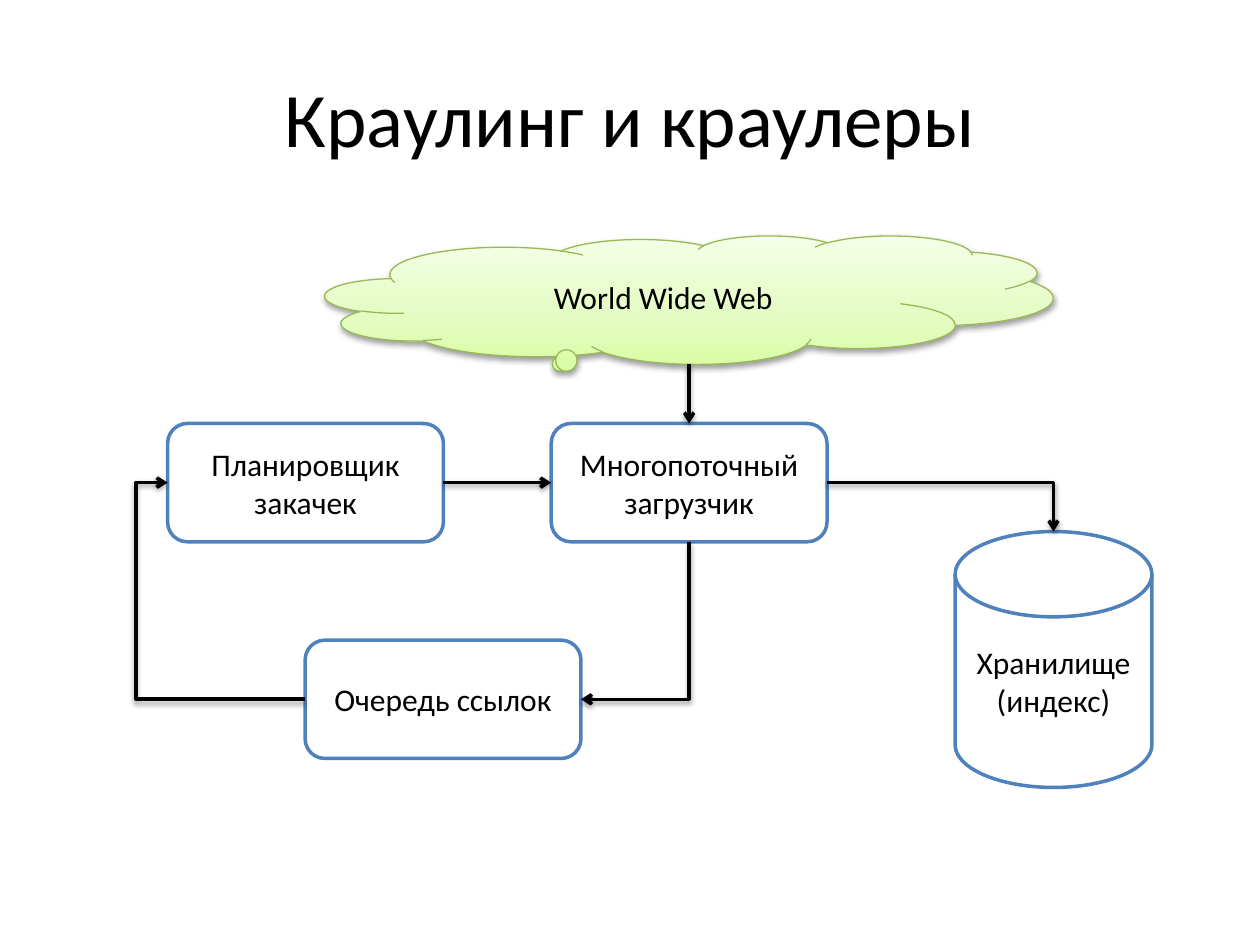
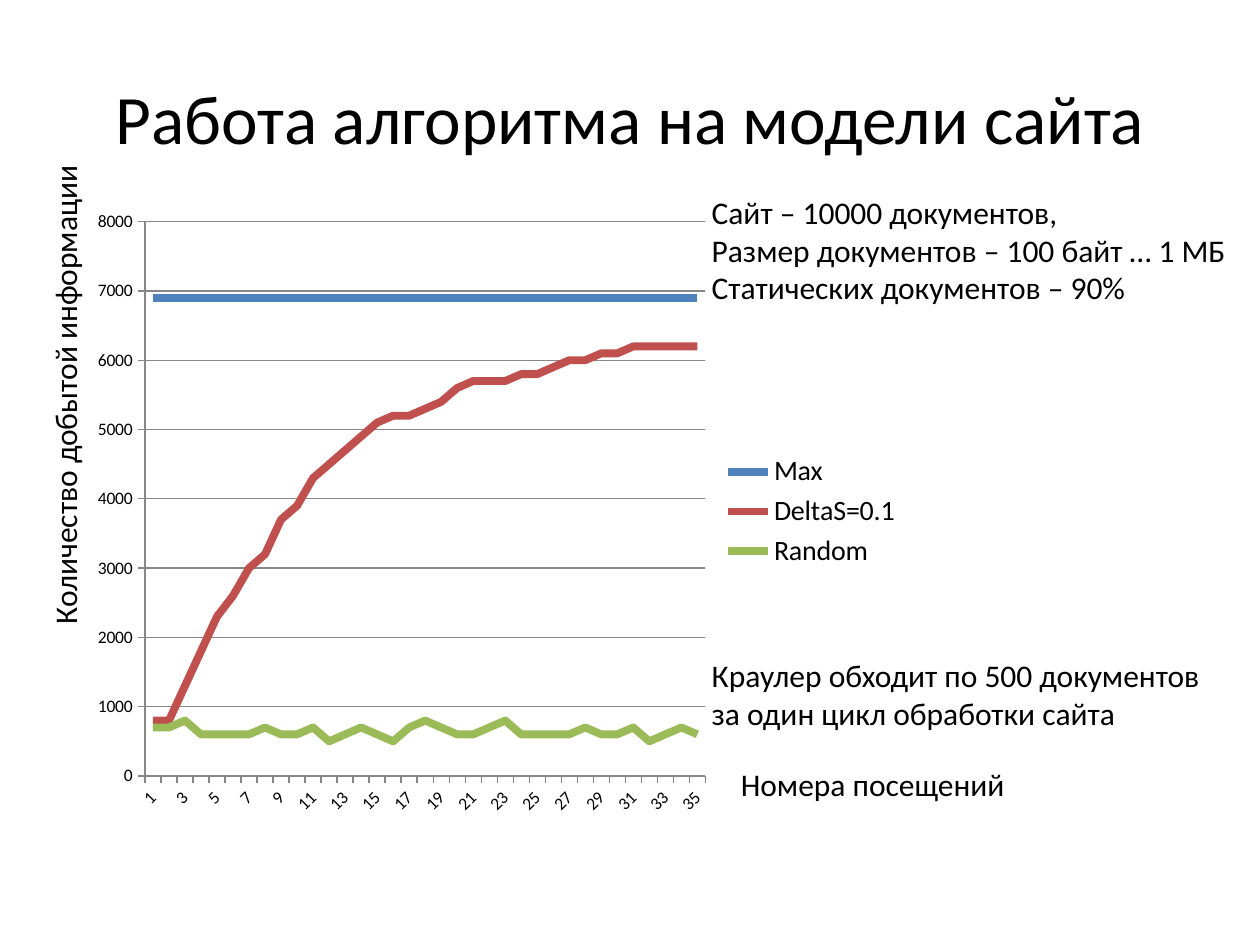
from dataclasses import dataclass

from lxml.etree import SubElement
from pptx import Presentation
from pptx.chart.data import CategoryChartData
from pptx.dml.color import RGBColor
from pptx.enum.chart import XL_CHART_TYPE, XL_LEGEND_POSITION, XL_TICK_MARK
from pptx.enum.shapes import MSO_CONNECTOR, MSO_SHAPE
from pptx.enum.text import MSO_ANCHOR, MSO_AUTO_SIZE, PP_ALIGN
from pptx.oxml.ns import qn
from pptx.util import Pt


@dataclass(frozen=True)
class Theme:
    """Colours, font and sizes shared by the slides."""

    font: str = "Calibri"
    black: str = "000000"
    white: str = "FFFFFF"
    blue: str = "4F81BD"
    red: str = "C0504D"
    green: str = "9BBB59"
    cloud_edge: str = "98B955"
    cloud_stops: tuple = ((0, "DAFDA7"), (35, "E4FCC2"), (100, "F5FFE7"))
    grid: str = "878787"
    title: float = 44
    long_title: float = 39.6
    body: float = 18
    legend: float = 16
    axis: float = 10
    outline: float = 2
    curve: float = 4.5


@dataclass(frozen=True)
class Node:
    """A labelled shape of the diagram, in points."""

    text: str
    left: float
    top: float
    width: float = 157.6
    height: float = 67.6
    kind: MSO_SHAPE = MSO_SHAPE.ROUNDED_RECTANGLE


@dataclass(frozen=True)
class Flow:
    """An arrow between two named nodes, each with a side and its site index."""

    source: str
    source_side: str
    source_site: int
    target: str
    target_side: str
    target_site: int
    preset: str = "line"
    turned: bool = False
    bend: int | None = None


@dataclass(frozen=True)
class Note:
    """A free text box, in points."""

    text: str
    left: float
    top: float
    width: float
    height: float
    rotation: float = 0


@dataclass(frozen=True)
class Curve:
    """One chart series, with values in hundreds."""

    name: str
    color: str
    hundreds: tuple


THEME = Theme()
SIDES = {"top": (0.5, 0), "left": (0, 0.5), "bottom": (0.5, 1), "right": (1, 0.5)}

NODES = {
    "web": Node("World Wide Web", 185.8, 134.6, 416, 73.4, MSO_SHAPE.CLOUD_CALLOUT),
    "loader": Node("Многопоточный загрузчик", 315, 242),
    "storage": Node("Хранилище (индекс)", 545.8, 303.8, 112.4, 146.2,
                    MSO_SHAPE.FLOWCHART_MAGNETIC_DISK),
    "planner": Node("Планировщик закачек", 95.8, 242),
    "queue": Node("Очередь ссылок", 174.4, 365.8),
}

FLOWS = (
    Flow("web", "bottom", 1, "loader", "top", 0),
    Flow("loader", "bottom", 2, "queue", "right", 3, "bentConnector2", turned=True),
    Flow("queue", "left", 1, "planner", "left", 1, "bentConnector3", bend=122900),
    Flow("planner", "right", 3, "loader", "left", 1),
    Flow("loader", "right", 3, "storage", "top", 1, "bentConnector2"),
)

NOTES = (
    Note("Сайт – 10000 документов,\nРазмер документов – 100 байт … 1 МБ\n"
         "Статических документов – 90%", 399.6, 106.6, 311.8, 72.7),
    Note("Краулер обходит по 500 документов\nза один цикл обработки сайта",
         399.6, 371.5, 296.6, 51),
    Note("Номера посещений", 416.2, 433.4, 167, 28.8),
    Note("Количество добытой информации", -103, 209.5, 280, 28.8, 270),
)

CURVES = (
    Curve("Max", THEME.blue, (69,) * 35),
    Curve("DeltaS=0.1", THEME.red,
          (8, 8, 13, 18, 23, 26, 30, 32, 37, 39, 43, 45, 47, 49, 51, 52, 52, 53,
           54, 56, 57, 57, 57, 58, 58, 59, 60, 60, 61, 61, 62, 62, 62, 62, 62)),
    Curve("Random", THEME.green,
          (7, 7, 8, 6, 6, 6, 6, 7, 6, 6, 7, 5, 6, 7, 6, 5, 7, 8,
           7, 6, 6, 7, 8, 6, 6, 6, 6, 7, 6, 6, 7, 5, 6, 7, 6)),
)


def style_font(font, *, size: float, color: str = THEME.black) -> None:
    """Apply the theme font in a size and colour."""
    font.name = THEME.font
    font.size = Pt(size)
    font.color.rgb = RGBColor.from_string(color)


def write_text(frame, text: str, *, size: float = THEME.body, align=PP_ALIGN.LEFT,
               anchor=MSO_ANCHOR.TOP, wrap: bool = True,
               auto_size=MSO_AUTO_SIZE.NONE) -> None:
    """Fill a text frame, one paragraph per line."""
    frame.text = text
    frame.word_wrap = wrap
    frame.auto_size = auto_size
    frame.vertical_anchor = anchor
    for paragraph in frame.paragraphs:
        paragraph.alignment = align
        for run in paragraph.runs:
            style_font(run.font, size=size)


def add_element(parent, tag: str, **attributes):
    """Append a namespaced element with attributes."""
    return SubElement(parent, qn(tag), {key: str(value) for key, value in attributes.items()})


def add_shadow(properties) -> None:
    """Give shape properties the soft shadow cast downwards."""
    effects = properties.find(qn("a:effectLst"))
    if effects is None:
        effects = add_element(properties, "a:effectLst")
    shadow = add_element(effects, "a:outerShdw", blurRad=Pt(3.1), dist=Pt(1.6),
                         dir=5400000, rotWithShape=0)
    color = add_element(shadow, "a:srgbClr", val=THEME.black)
    add_element(color, "a:alpha", val=38000)


def fill_cloud(shape) -> None:
    """Give the cloud its gradient, pointer, edge and shadow."""
    shape.adjustments[0] = -0.179
    shape.adjustments[1] = 0.502
    shape.line.color.rgb = RGBColor.from_string(THEME.cloud_edge)
    shape.line.width = Pt(0.75)
    shape.fill.gradient()
    gradient = shape._element.spPr.find(qn("a:gradFill"))
    for child in list(gradient):
        gradient.remove(child)
    stops = add_element(gradient, "a:gsLst")
    for position, color in THEME.cloud_stops:
        stop = add_element(stops, "a:gs", pos=position * 1000)
        add_element(stop, "a:srgbClr", val=color)
    add_element(gradient, "a:lin", ang=16200000, scaled=0)
    add_shadow(shape._element.spPr)


def add_node(slide, node: Node):
    """Draw one node of the diagram."""
    shape = slide.shapes.add_shape(node.kind, Pt(node.left), Pt(node.top),
                                   Pt(node.width), Pt(node.height))
    shape.shadow.inherit = False
    if node.kind == MSO_SHAPE.CLOUD_CALLOUT:
        fill_cloud(shape)
    else:
        shape.fill.solid()
        shape.fill.fore_color.rgb = RGBColor.from_string(THEME.white)
        shape.line.color.rgb = RGBColor.from_string(THEME.blue)
        shape.line.width = Pt(THEME.outline)
    write_text(shape.text_frame, node.text, align=PP_ALIGN.CENTER, anchor=MSO_ANCHOR.MIDDLE)
    return shape


def side_point(node: Node, side: str) -> tuple[float, float]:
    """Return the middle of one side of a node, in points."""
    across, down = SIDES[side]
    return node.left + across * node.width, node.top + down * node.height


def turn_quarter(connector) -> None:
    """Turn a connector so that it leaves downwards and ends leftwards."""
    left, top, width, height = connector.left, connector.top, connector.width, connector.height
    connector.left = left + (width - height) // 2
    connector.top = top + (height - width) // 2
    connector.width, connector.height = height, width
    frame = connector._element.spPr.find(qn("a:xfrm"))
    frame.attrib.pop("flipH", None)
    frame.set("rot", "5400000")


def add_flow(slide, flow: Flow, shapes: dict) -> None:
    """Draw an arrow glued to its two nodes."""
    begin = side_point(NODES[flow.source], flow.source_side)
    end = side_point(NODES[flow.target], flow.target_side)
    kind = MSO_CONNECTOR.STRAIGHT if flow.preset == "line" else MSO_CONNECTOR.ELBOW
    connector = slide.shapes.add_connector(kind, *(Pt(value) for value in begin + end))
    properties = connector._element.spPr
    geometry = properties.find(qn("a:prstGeom"))
    if flow.preset != "line":
        geometry.set("prst", flow.preset)
    if flow.bend is not None:
        guides = geometry.find(qn("a:avLst"))
        if guides is None:
            guides = add_element(geometry, "a:avLst")
        add_element(guides, "a:gd", name="adj1", fmla=f"val {flow.bend}")
    if flow.turned:
        turn_quarter(connector)
    joints = connector._element.find(f".//{qn('p:cNvCxnSpPr')}")
    add_element(joints, "a:stCxn", id=shapes[flow.source].shape_id, idx=flow.source_site)
    add_element(joints, "a:endCxn", id=shapes[flow.target].shape_id, idx=flow.target_site)
    connector.line.color.rgb = RGBColor.from_string(THEME.black)
    connector.line.width = Pt(THEME.outline)
    add_element(properties.find(qn("a:ln")), "a:tailEnd", type="arrow")
    add_shadow(properties)


def add_note(slide, note: Note) -> None:
    """Draw a free text box."""
    box = slide.shapes.add_textbox(Pt(note.left), Pt(note.top), Pt(note.width), Pt(note.height))
    box.rotation = note.rotation
    write_text(box.text_frame, note.text, wrap=False, auto_size=MSO_AUTO_SIZE.SHAPE_TO_FIT_TEXT)


def place_plot(chart) -> None:
    """Fix the inner plot area as fractions of the chart."""
    plot_area = chart._chartSpace.chart.plotArea
    layout = plot_area.find(qn("c:layout"))
    if layout is None:
        layout = add_element(plot_area, "c:layout")
        plot_area.insert(0, layout)
    manual = add_element(layout, "c:manualLayout")
    for tag, value in (("layoutTarget", "inner"), ("xMode", "edge"), ("yMode", "edge"),
                       ("x", 0.08), ("y", 0.04), ("w", 0.67), ("h", 0.88)):
        add_element(manual, f"c:{tag}", val=value)


def add_line_chart(slide) -> None:
    """Draw the chart of collected information per visit."""
    data = CategoryChartData()
    data.categories = [str(visit) for visit in range(1, 36)]
    for curve in CURVES:
        data.add_series(curve.name, [value * 100 for value in curve.hundreds])
    chart = slide.shapes.add_chart(XL_CHART_TYPE.LINE, Pt(44.6), Pt(112.3),
                                   Pt(478), Pt(360), data).chart
    style_font(chart.font, size=THEME.axis)
    chart.has_title = False
    chart.has_legend = True
    chart.legend.position = XL_LEGEND_POSITION.RIGHT
    chart.legend.include_in_layout = False
    style_font(chart.legend.font, size=THEME.legend)
    chart.plots[0].vary_by_categories = False
    grid = RGBColor.from_string(THEME.grid)
    for axis in (chart.category_axis, chart.value_axis):
        axis.major_tick_mark = XL_TICK_MARK.OUTSIDE
        axis.format.line.color.rgb = grid
    chart.value_axis.maximum_scale = 8000
    chart.value_axis.minimum_scale = 0
    chart.value_axis.major_unit = 1000
    chart.value_axis.major_gridlines.format.line.color.rgb = grid
    style_font(chart.category_axis.tick_labels.font, size=THEME.axis)
    chart.category_axis._element.find(f".//{qn('a:bodyPr')}").set("rot", "-2700000")
    for series, curve in zip(chart.plots[0].series, CURVES):
        series.smooth = False
        series.format.line.color.rgb = RGBColor.from_string(curve.color)
        series.format.line.width = Pt(THEME.curve)
    place_plot(chart)


def add_titled_slide(presentation, title: str, size: float):
    """Add a slide with the shared title style."""
    slide = presentation.slides.add_slide(presentation.slide_layouts[5])
    shape = slide.shapes.title
    shape.left, shape.top, shape.width, shape.height = Pt(36), Pt(21.6), Pt(648), Pt(90)
    write_text(shape.text_frame, title, size=size, align=PP_ALIGN.CENTER,
               anchor=MSO_ANCHOR.MIDDLE)
    return slide


def main() -> None:
    """Build and save the presentation."""
    presentation = Presentation()
    presentation.slide_width, presentation.slide_height = Pt(720), Pt(540)

    diagram = add_titled_slide(presentation, "Краулинг и краулеры", THEME.title)
    shapes = {name: add_node(diagram, node) for name, node in NODES.items()}
    for flow in FLOWS:
        add_flow(diagram, flow, shapes)

    results = add_titled_slide(presentation, "Работа алгоритма на модели сайта", THEME.long_title)
    add_line_chart(results)
    for note in NOTES:
        add_note(results, note)

    presentation.save("out.pptx")


main()
